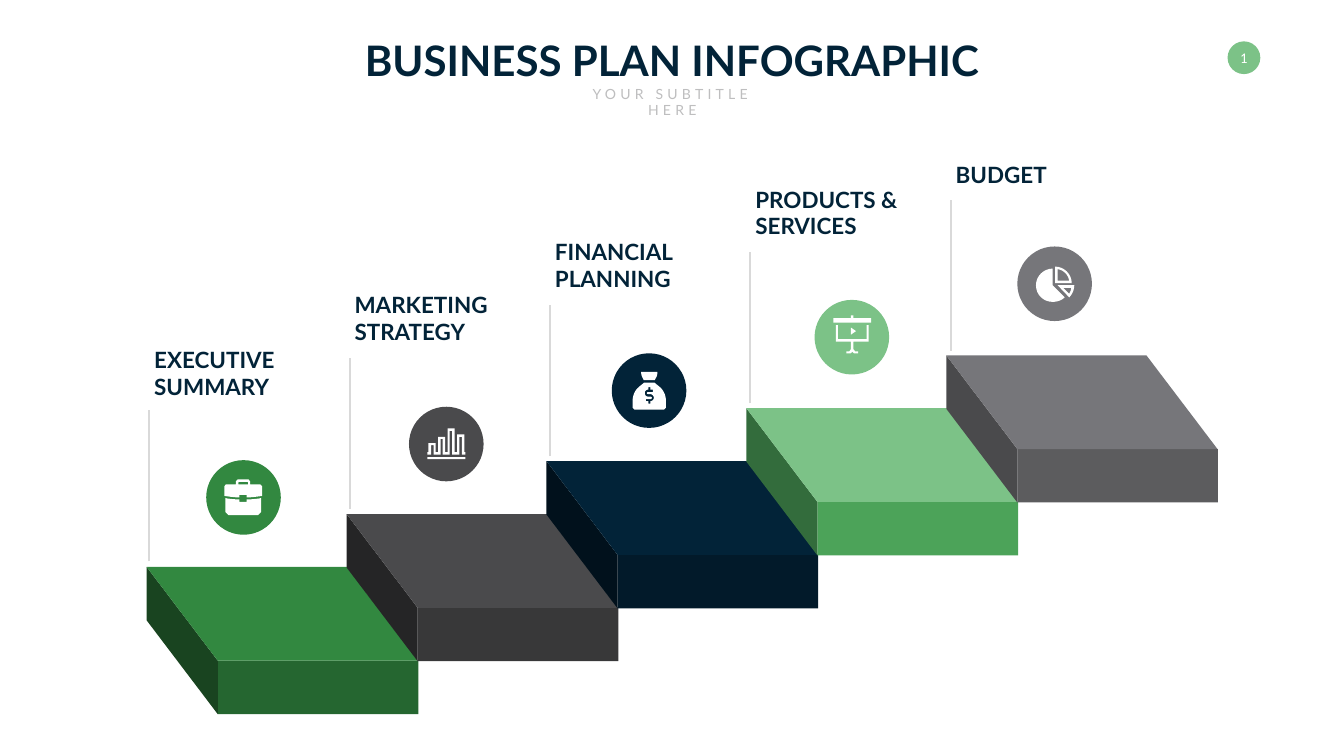
import pptx
import pptx.util
import pptx.dml.color
import pptx.enum.shapes
import pptx.enum.text
import pptx.oxml.ns
from lxml import etree

PX = 9144
SLIDE_WIDTH, SLIDE_HEIGHT = 2666, 1500
CURVE_STEPS = 8

COLORS = {
    "navy": "022338", "subtitle": "BEBEBF", "rule": "D9D9D9",
    "badge": "7CC287", "white": "FFFFFF",
}

BRIEFCASE = """
M 447 988 L 450 989 C 459 990 467 991 475 991 L 475 996 L 489 996 L 489 991
C 498 991 506 990 515 989 L 518 988 L 518 1016 L 512 1022 L 453 1022 L 447 1016
M 474 956 L 473 957 L 473 961 L 492 961 L 492 957 L 491 956
M 472 951 L 493 951 L 496 955 L 496 961 L 516 961 L 520 965 L 520 984 L 513 985
C 505 986 497 987 489 987 L 489 982 L 475 982 L 475 987 C 467 987 460 986 452 985
L 445 984 L 445 965 L 448 961 L 468 961 L 468 955"""

BAR_CHART = """
M 848 907 L 923 907 L 923 911 L 848 911
M 888 850 L 902 850 L 902 897 L 907 897 L 907 862 L 921 862 L 921 897 L 923 897
L 923 902 L 916 902 L 916 867 L 911 867 L 911 902 L 897 902 L 897 855 L 892 855
L 892 902 L 878 902 L 878 871 L 874 871 L 874 902 L 860 902 L 860 883 L 855 883
L 855 902 L 848 902 L 848 897 L 850 897 L 850 879 L 864 879 L 864 897 L 869 897
L 869 867 L 883 867 L 883 897 L 888 897"""

MONEY_BAG = """
M 1286 768 L 1286 773 C 1282 773 1279 776 1279 780 C 1279 784 1282 787 1286 787
L 1290 787 C 1292 787 1293 788 1293 789 C 1293 791 1292 792 1290 792 L 1281 792
L 1281 796 L 1286 796 L 1286 801 L 1290 801 L 1290 796
C 1294 796 1297 793 1297 789 C 1297 786 1294 782 1290 782 L 1286 782
C 1284 782 1283 781 1283 780 C 1283 779 1284 778 1286 778 L 1295 778 L 1295 773
L 1290 773 L 1290 768
M 1278 759 L 1298 759 L 1309 768 C 1317 775 1321 785 1321 795 L 1321 809
L 1317 813 L 1259 813 L 1255 809 L 1255 795 C 1255 785 1259 775 1267 768
M 1272 738 L 1304 738 L 1304 740 C 1304 743 1303 747 1301 750 L 1299 754
L 1277 754 L 1275 750 C 1273 747 1272 743 1272 740"""

PRESENTATION_BOARD = """
M 1688 650 L 1698 657 L 1688 664
M 1658 645 L 1662 645 L 1662 673 L 1719 673 L 1719 645 L 1723 645 L 1723 678
L 1693 678 L 1693 693 L 1694 694 L 1696 697 L 1702 697 L 1702 701 L 1694 701
L 1691 698 L 1687 701 L 1679 701 L 1679 697 L 1685 697 L 1687 694 L 1688 693
L 1688 678 L 1658 678
M 1688 626 L 1693 626 L 1693 631 L 1728 631 L 1728 640 L 1653 640 L 1653 631
L 1688 631"""

PIE_CHART = """
M 2109 571 L 2121 583 C 2123 579 2125 575 2125 571
M 2098 566 L 2131 566 C 2131 575 2127 584 2121 590
M 2098 534 L 2098 557 L 2121 557 C 2119 545 2110 536 2098 534
M 2088 533 L 2088 566 L 2112 590 C 2106 596 2097 599 2088 599
C 2070 599 2055 585 2055 566 C 2055 548 2070 533 2088 533
M 2093 529 C 2111 529 2126 544 2126 562 L 2093 562"""

STEPS = [
    ("EXECUTIVE SUMMARY", 799, 118, "328840", "256630", "194420", BRIEFCASE),
    ("MARKETING STRATEGY", 690, 118, "4A4A4C", "383839", "252526", BAR_CHART),
    ("FINANCIAL PLANNING", 584, 118, "022338", "021A2A", "01111C", MONEY_BAG),
    ("PRODUCTS & SERVICES", 480, 118, "7CC287", "4CA359", "336C3C", PRESENTATION_BOARD),
    ("BUDGET", 378, 64, "76767A", "5C5C5E", "4A4A4C", PIE_CHART),
]

TOP_FACE = [(0, 0), (397, 0), (538, 186), (141, 186)]
SIDE_FACE = [(0, 0), (141, 186), (141, 292), (0, 106)]


def emu(length):
    return pptx.util.Emu(round(length * PX))


def rgb(color):
    return pptx.dml.color.RGBColor.from_string(color)


def paint(shape, color):
    shape.shadow.inherit = False
    shape.fill.solid()
    shape.fill.fore_color.rgb = rgb(color)
    shape.line.fill.background()
    return shape


def add_preset(page, kind, left, top, width, height, color):
    preset = getattr(pptx.enum.shapes.MSO_SHAPE, kind)
    return paint(page.shapes.add_shape(preset, emu(left), emu(top), emu(width), emu(height)), color)


def add_outline(page, contours, color):
    contours = [[(emu(x), emu(y)) for x, y in contour] for contour in contours]
    builder = page.shapes.build_freeform(*contours[0][0], scale=1.0)
    builder.add_line_segments(contours[0][1:], close=True)
    for contour in contours[1:]:
        builder.move_to(*contour[0])
        builder.add_line_segments(contour[1:], close=True)
    return paint(builder.convert_to_shape(), color)


def trace(icon):
    contours = []
    tokens = iter(icon.split())
    for command in tokens:
        count = 3 if command == "C" else 1
        points = [(int(next(tokens)), int(next(tokens))) for _ in range(count)]
        if command == "M":
            contours.append(points)
        elif command == "L":
            contours[-1] += points
        else:
            curve = [contours[-1][-1]] + points
            for step in range(1, CURVE_STEPS + 1):
                t = step / CURVE_STEPS
                weights = ((1 - t) ** 3, 3 * t * (1 - t) ** 2, 3 * t * t * (1 - t), t ** 3)
                contours[-1].append(tuple(
                    sum(w * point[axis] for w, point in zip(weights, curve)) for axis in (0, 1)))
    return contours


def write(box, text, size, color, font="Lato", bold=False, centered=True, anchor="TOP", wrap=True):
    frame = box.text_frame
    frame.word_wrap = wrap
    frame.vertical_anchor = getattr(pptx.enum.text.MSO_ANCHOR, anchor)
    para = frame.paragraphs[0]
    para.text = text
    para.alignment = pptx.enum.text.PP_ALIGN.CENTER if centered else pptx.enum.text.PP_ALIGN.LEFT
    para.font.name = font
    para.font.size = pptx.util.Pt(size)
    para.font.bold = bold
    para.font.color.rgb = rgb(color)
    return para


def add_text(page, left, top, width, height, *args, **style):
    box = page.shapes.add_textbox(emu(left), emu(top), emu(width), emu(height))
    write(box, *args, **style)
    return box


def add_rule(page, x, top, bottom):
    rule = page.shapes.add_connector(
        pptx.enum.shapes.MSO_CONNECTOR.STRAIGHT, emu(x), emu(bottom), emu(x), emu(top))
    rule.line.color.rgb = rgb(COLORS["rule"])
    rule.line.width = pptx.util.Pt(3)
    etree.SubElement(rule._element.spPr, pptx.oxml.ns.qn("a:effectLst"))


def add_step(page, index, label, label_bottom, label_height, top, front, side, icon):
    x, y = 291 + 396.5 * index, 1125 - 105 * index
    rule_x, rule_bottom = 296 + 397.5 * index, 1114 - 104.5 * index
    add_rule(page, rule_x, rule_bottom - 300, rule_bottom)
    add_preset(page, "RECTANGLE", x + 141, y + 186, 398, 106, front)
    for face, color in ((SIDE_FACE, side), (TOP_FACE, top)):
        add_outline(page, [[(x + dx, y + dy) for dx, dy in face]], color)
    add_preset(page, "OVAL", 409 + 402.25 * index, 913 - 106 * index, 148, 148, top)
    add_outline(page, trace(icon), COLORS["white"])
    add_text(page, rule_x, label_bottom - label_height, 373, label_height, label, 32,
             COLORS["navy"], bold=True, centered=False, anchor="BOTTOM")


def main():
    deck = pptx.Presentation()
    deck.slide_width, deck.slide_height = emu(SLIDE_WIDTH), emu(SLIDE_HEIGHT)
    page = deck.slides.add_slide(deck.slide_layouts[6])

    badge = add_preset(page, "OVAL", 2435, 82, 65, 65, COLORS["badge"])
    write(badge, "1", 21, COLORS["white"], font="Calibri", anchor="MIDDLE", wrap=False)
    for index, step in enumerate(STEPS):
        add_step(page, index, *step)

    add_text(page, 702, 64, 1262, 111, "BUSINESS PLAN INFOGRAPHIC", 60, COLORS["navy"],
             bold=True, wrap=False)
    subtitle = add_text(page, 1112, 164, 443, 44, "YOUR SUBTITLE HERE", 20, COLORS["subtitle"])
    subtitle.text_frame.margin_left = subtitle.text_frame.margin_right = emu(50)
    span = subtitle.text_frame.paragraphs[0].runs[0]
    span.font._element.set("spc", "600")
    deck.save("out.pptx")


if __name__ == "__main__":
    main()
